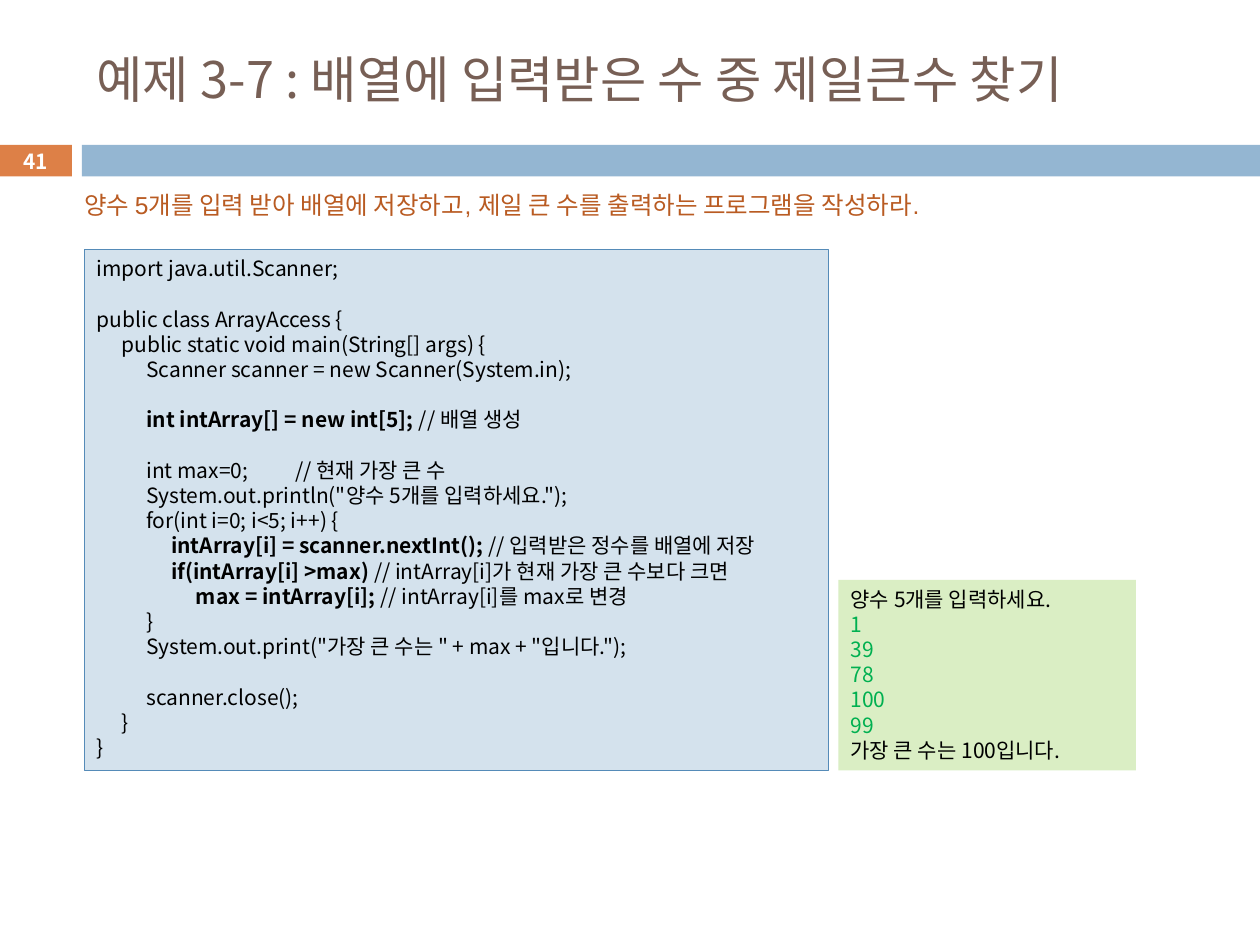
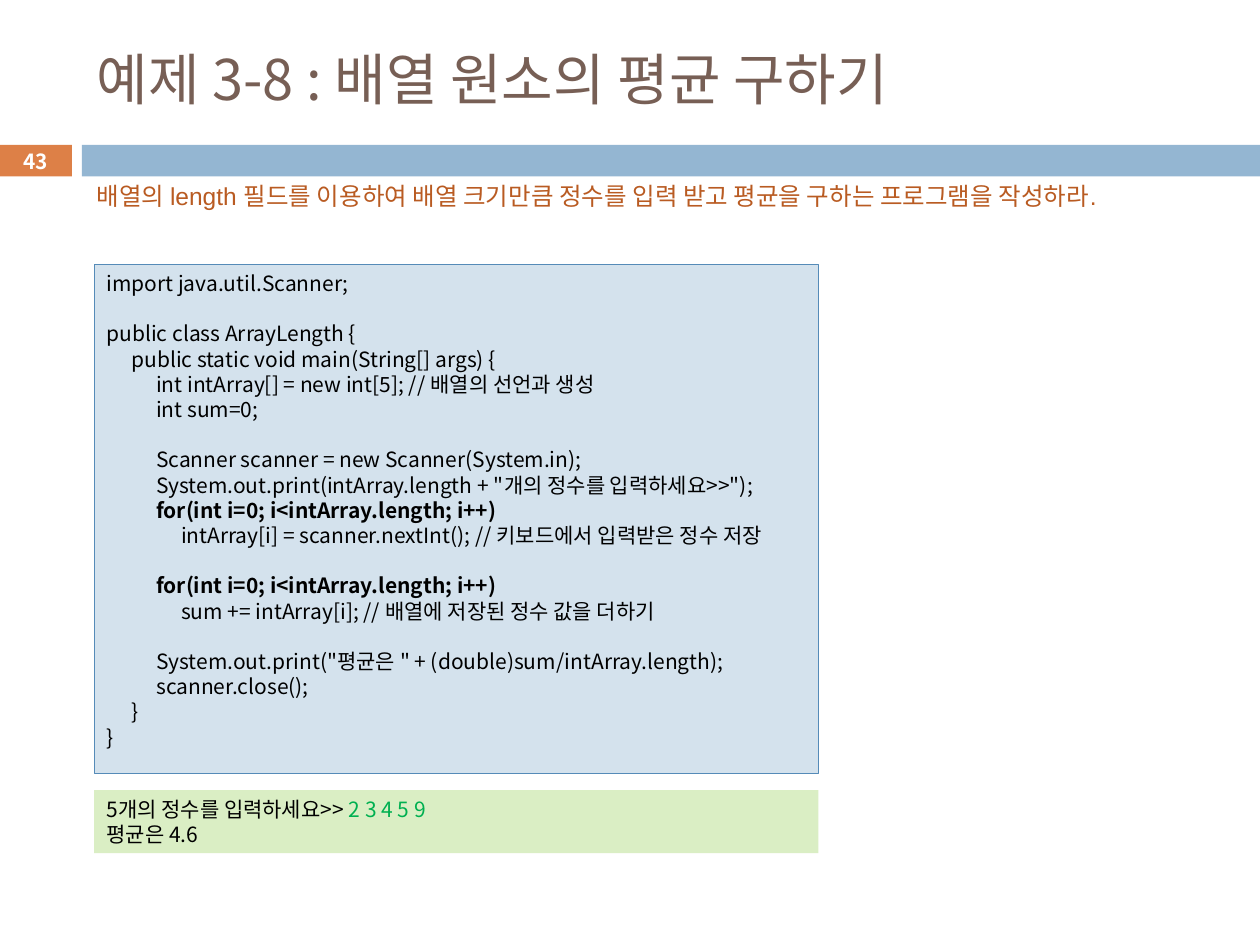
from dataclasses import dataclass

from lxml.etree import SubElement
from pptx import Presentation
from pptx.dml.color import RGBColor
from pptx.enum.shapes import MSO_SHAPE
from pptx.enum.text import MSO_ANCHOR, PP_ALIGN
from pptx.oxml.ns import qn
from pptx.util import Cm, Pt


@dataclass(frozen=True)
class Theme:
    font: str = "Noto Sans CJK KR"
    task_font: str = "Arial"
    title: str = "775F55"
    task: str = "B95B22"
    tag: str = "DD8047"
    band: str = "94B6D2"
    code_fill: str = "D4E2ED"
    code_line: str = "558BB8"
    output_fill: str = "DAEEC4"
    typed: str = "00B050"
    ink: str = "000000"
    white: str = "FFFFFF"
    task_size: float = 14
    code_size: float = 12
    number_size: float = 11.9
    leading: float = 1.2
    indent: float = 0.5


THEME = Theme()

MAX_CODE = """import java.util.Scanner;

public class ArrayAccess {
    public static void main(String[] args) {
        Scanner scanner = new Scanner(System.in);

        **int intArray[] = new int[5]; **// 배열 생성

        int max=0;        // 현재 가장 큰 수
        System.out.println("양수 5개를 입력하세요.");
        for(int i=0; i<5; i++) {
            **intArray[i] = scanner.nextInt(); **// 입력받은 정수를 배열에 저장
            **if(intArray[i] >max) **// intArray[i]가 현재 가장 큰 수보다 크면
                **max = intArray[i]; **// intArray[i]를 max로 변경
        }
        System.out.print("가장 큰 수는 " + max + "입니다.");

        scanner.close();
    }
}"""

MAX_OUTPUT = """양수 5개를 입력하세요.
**1**
**39**
**78**
**100**
**99**
가장 큰 수는 100입니다."""

AVERAGE_CODE = """import java.util.Scanner;

public class ArrayLength {
    public static void main(String[] args) {
        int intArray[] = new int[5]; // 배열의 선언과 생성
        int sum=0;

        Scanner scanner = new Scanner(System.in);
        System.out.print(intArray.length + "개의 정수를 입력하세요>>");
        **for(int i=0; i<intArray.length; i++)**
            intArray[i] = scanner.nextInt(); // 키보드에서 입력받은 정수 저장

        **for(int i=0; i<intArray.length; i++)**
            sum += intArray[i]; // 배열에 저장된 정수 값을 더하기

        System.out.print("평균은 " + (double)sum/intArray.length);
        scanner.close();
    }
}"""

AVERAGE_OUTPUT = """5개의 정수를 입력하세요>> **2 3 4 5 9**
평균은 4.6"""


def rgb(value):
    return RGBColor.from_string(value)


def embolden(run):
    run.font.bold = True


def mark_typed(run):
    run.font.color.rgb = rgb(THEME.typed)


def add_tab_stops(paragraph):
    stops = SubElement(paragraph._p.get_or_add_pPr(), qn("a:tabLst"))
    for step in range(1, 9):
        SubElement(stops, qn("a:tab"), pos=str(Cm(THEME.indent * step)), algn="l")


def write(frame, text, size, color, font=THEME.font, emphasize=embolden):
    """Write one paragraph per line; parts between ** marks are emphasized."""
    frame.word_wrap = True
    for index, line in enumerate(text.split("\n")):
        paragraph = frame.add_paragraph() if index else frame.paragraphs[0]
        add_tab_stops(paragraph)
        paragraph.alignment = PP_ALIGN.LEFT
        paragraph.line_spacing = Pt(size * THEME.leading)
        paragraph.font.size = Pt(size)
        paragraph.font.name = font
        paragraph.font.color.rgb = rgb(color)
        for part, words in enumerate(line.replace(" " * 4, "\t").split("**")):
            if words:
                run = paragraph.add_run()
                run.text = words
                if part % 2:
                    emphasize(run)


def add_box(slide, box, fill, line=None):
    shape = slide.shapes.add_shape(MSO_SHAPE.RECTANGLE, *map(Cm, box))
    shape.shadow.inherit = False
    shape.fill.solid()
    shape.fill.fore_color.rgb = rgb(fill)
    if line:
        shape.line.color.rgb = rgb(line)
        shape.line.width = Pt(0.75)
    else:
        shape.line.fill.background()
    shape.text_frame.vertical_anchor = MSO_ANCHOR.TOP
    return shape


def add_header(slide, title, title_size, number):
    heading = slide.shapes.add_textbox(Cm(1.7), Cm(0.64), Cm(22.66), Cm(1.88)).text_frame
    heading.vertical_anchor = MSO_ANCHOR.MIDDLE
    write(heading, title, title_size, THEME.title)

    top, height = 2.92, 0.64
    add_box(slide, (1.65, top, 23.75, height), THEME.band)
    tag = add_box(slide, (0, top, 1.45, height), THEME.tag).text_frame
    tag.margin_top = tag.margin_bottom = 0
    tag.vertical_anchor = MSO_ANCHOR.MIDDLE
    write(tag, number, THEME.number_size, THEME.white)
    tag.paragraphs[0].alignment = PP_ALIGN.CENTER
    tag.paragraphs[0].font.bold = True


def add_task(slide, box, task):
    frame = slide.shapes.add_textbox(*map(Cm, box)).text_frame
    write(frame, task, THEME.task_size, THEME.task, THEME.task_font)


def add_code(slide, box, code):
    listing = add_box(slide, box, THEME.code_fill, THEME.code_line)
    write(listing.text_frame, code, THEME.code_size, THEME.ink)


def add_output(slide, box, output):
    console = add_box(slide, box, THEME.output_fill)
    write(console.text_frame, output, THEME.code_size, THEME.ink, emphasize=mark_typed)


def build_max_slide(slide):
    add_header(slide, "예제 3-7 : 배열에 입력받은 수 중 제일큰수 찾기", 28.8, "41")
    add_task(slide, (1.45, 3.71, 21.72, 0.86),
             "양수 5개를 입력 받아 배열에 저장하고, 제일 큰 수를 출력하는 프로그램을 작성하라.")
    add_code(slide, (1.7, 5.03, 15, 10.5), MAX_CODE)
    add_output(slide, (16.9, 11.69, 6, 3.84), MAX_OUTPUT)


def build_average_slide(slide):
    add_header(slide, "예제 3-8 : 배열 원소의 평균 구하기", 32, "43")
    add_task(slide, (1.7, 3.53, 21.72, 1.45),
             "배열의 length 필드를 이용하여 배열 크기만큼 정수를 입력 받고 평균을 구하는 프로그램을 작성하라.")
    add_code(slide, (1.9, 5.33, 14.6, 10.26), AVERAGE_CODE)
    add_output(slide, (1.9, 15.93, 14.6, 1.27), AVERAGE_OUTPUT)


def main():
    deck = Presentation()
    deck.slide_width, deck.slide_height = Cm(25.4), Cm(19.05)
    for build in (build_max_slide, build_average_slide):
        build(deck.slides.add_slide(deck.slide_layouts[6]))
    deck.save("out.pptx")


if __name__ == "__main__":
    main()
